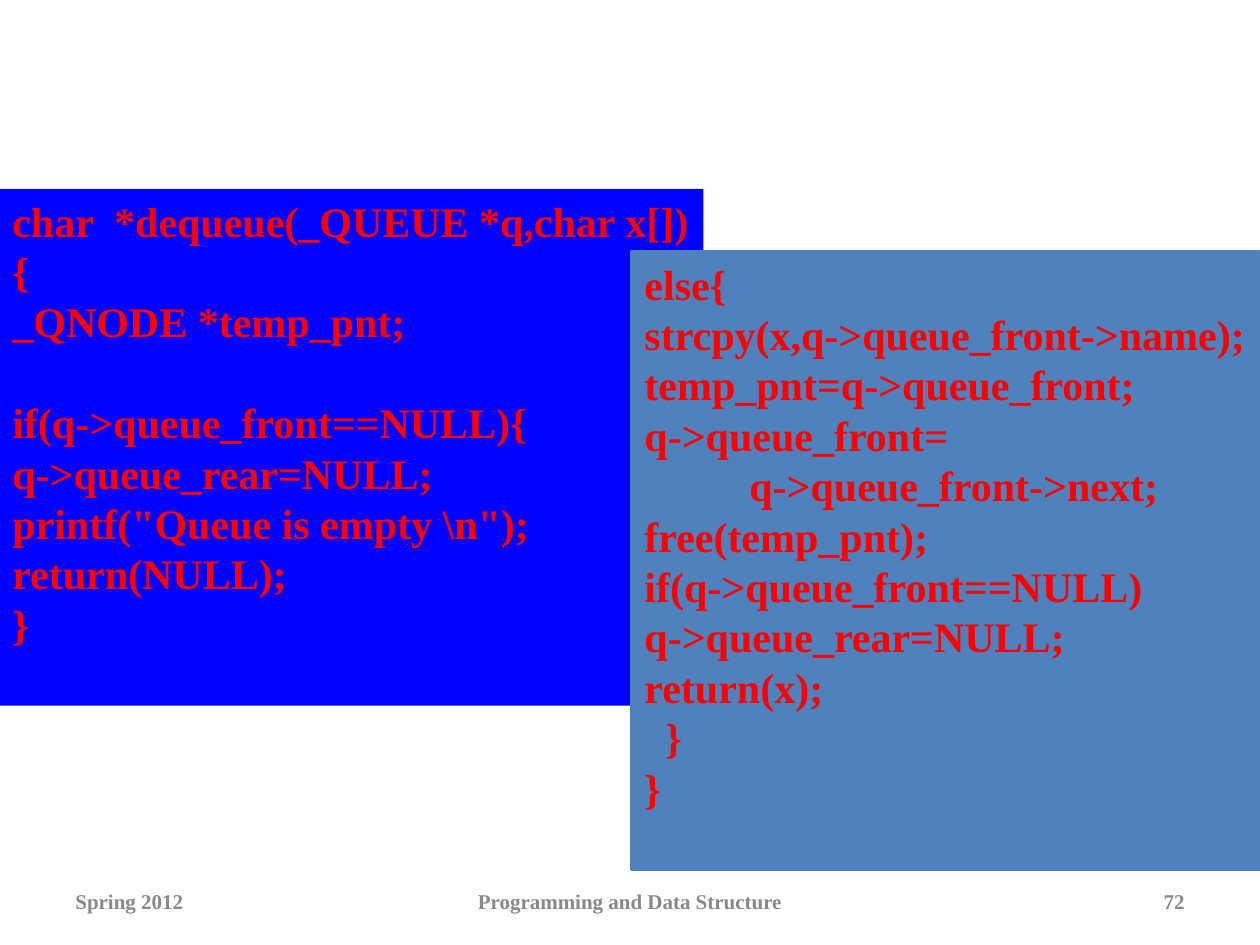
"""Build the dequeue code slide with two overlapping code panels and a footer."""
from dataclasses import dataclass
from typing import Optional

from pptx import Presentation
from pptx import util as u
from pptx.dml.color import RGBColor
from pptx.enum import shapes, text

WIDTH, HEIGHT = u.Inches(10), u.Inches(7.5)
FONT = "Times New Roman"
COLORS = {"blue": "0000FF", "steel": "4F81BD", "code": "FF0000", "footer": "898989"}
CODE_SIZE, FOOTER_SIZE = 24, 12
COLS, ROWS = 60, 75

DEQUEUE_START = r"""char  *dequeue(_QUEUE *q,char x[])
{
_QNODE *temp_pnt;

if(q->queue_front==NULL){
q->queue_rear=NULL;
printf("Queue is empty \n");
return(NULL);
}"""

DEQUEUE_REST = """else{
strcpy(x,q->queue_front->name);
temp_pnt=q->queue_front;
q->queue_front=
          q->queue_front->next;
free(temp_pnt);
if(q->queue_front==NULL)
q->queue_rear=NULL;
return(x);
  }
}"""


@dataclass
class Box:
    col: float
    row: float
    cols: float
    rows: float

    def bounds(self) -> tuple:
        cw, rh = WIDTH / COLS, HEIGHT / ROWS
        return tuple(map(round, (self.col * cw, self.row * rh, self.cols * cw, self.rows * rh)))


@dataclass
class Panel:
    box: Box
    fill: str
    code: str
    line: Optional[str] = None


@dataclass
class Footer:
    box: Box
    label: str
    align: text.PP_ALIGN


PANELS = [
    Panel(Box(0, 15, 33.5, 41), "blue", DEQUEUE_START),
    Panel(Box(30.1, 20, 29.85, 49), "steel", DEQUEUE_REST, "steel"),
]
FOOTERS = [
    Footer(Box(3, 69.5, 14, 4), "Spring 2012", text.PP_ALIGN.LEFT),
    Footer(Box(20.5, 69.5, 19, 4), "Programming and Data Structure", text.PP_ALIGN.CENTER),
    Footer(Box(43, 69.5, 14, 4), "72", text.PP_ALIGN.RIGHT),
]


def rgb(name: str) -> RGBColor:
    return RGBColor.from_string(COLORS[name])


def format_text(tf, size: int, color: str, align: text.PP_ALIGN) -> None:
    for p in tf.paragraphs:
        p.alignment = align
        p.font.size = u.Pt(size)
        for r in p.runs:
            r.font.name, r.font.size, r.font.bold = FONT, u.Pt(size), True
            r.font.color.rgb = rgb(color)


def draw_footer(s, footer: Footer) -> None:
    tf = s.shapes.add_textbox(*footer.box.bounds()).text_frame
    tf.word_wrap = True
    tf.vertical_anchor = text.MSO_ANCHOR.MIDDLE
    tf.text = footer.label
    format_text(tf, FOOTER_SIZE, "footer", footer.align)


def draw_panel(s, panel: Panel) -> None:
    sp = s.shapes.add_shape(shapes.MSO_SHAPE.RECTANGLE, *panel.box.bounds())
    sp.shadow.inherit = False
    sp.fill.solid()
    sp.fill.fore_color.rgb = rgb(panel.fill)
    if panel.line:
        sp.line.color.rgb = rgb(panel.line)
        sp.line.width = u.Pt(2.5)
    else:
        sp.line.fill.background()
    tf = sp.text_frame
    tf.word_wrap = False
    tf.auto_size = text.MSO_AUTO_SIZE.SHAPE_TO_FIT_TEXT
    tf.vertical_anchor = text.MSO_ANCHOR.TOP
    tf.text = panel.code
    format_text(tf, CODE_SIZE, "code", text.PP_ALIGN.LEFT)


def main() -> None:
    prs = Presentation()
    prs.slide_width, prs.slide_height = WIDTH, HEIGHT
    s = prs.slides.add_slide(prs.slide_layouts[6])
    for footer in FOOTERS:
        draw_footer(s, footer)
    for panel in PANELS:
        draw_panel(s, panel)
    prs.save("out.pptx")


if __name__ == "__main__":
    main()
